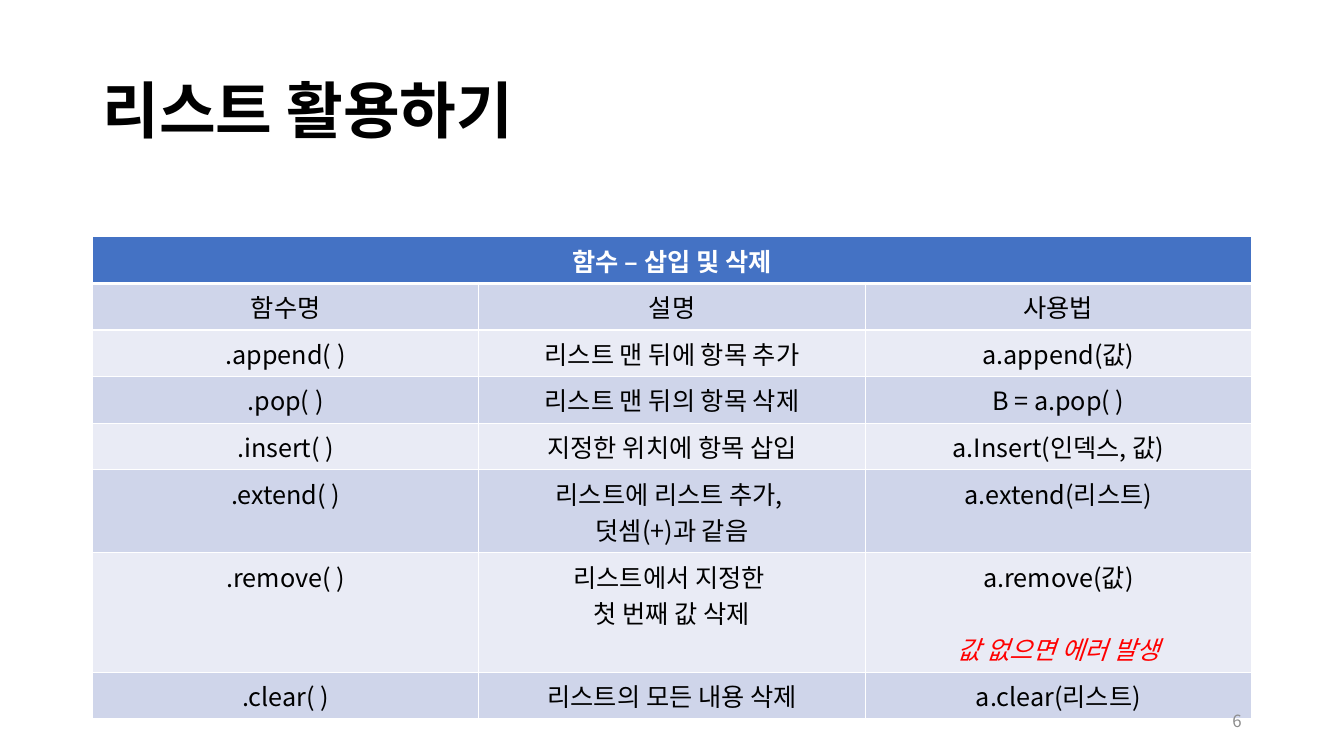
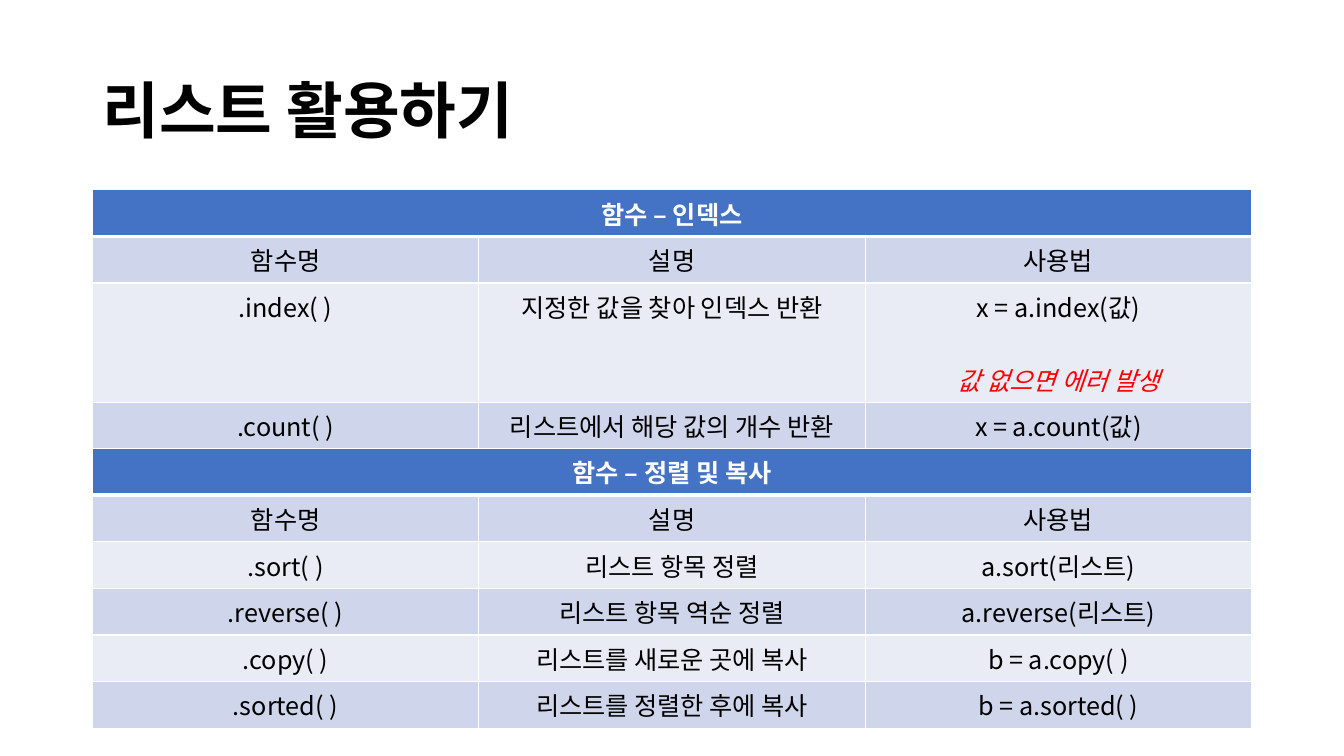
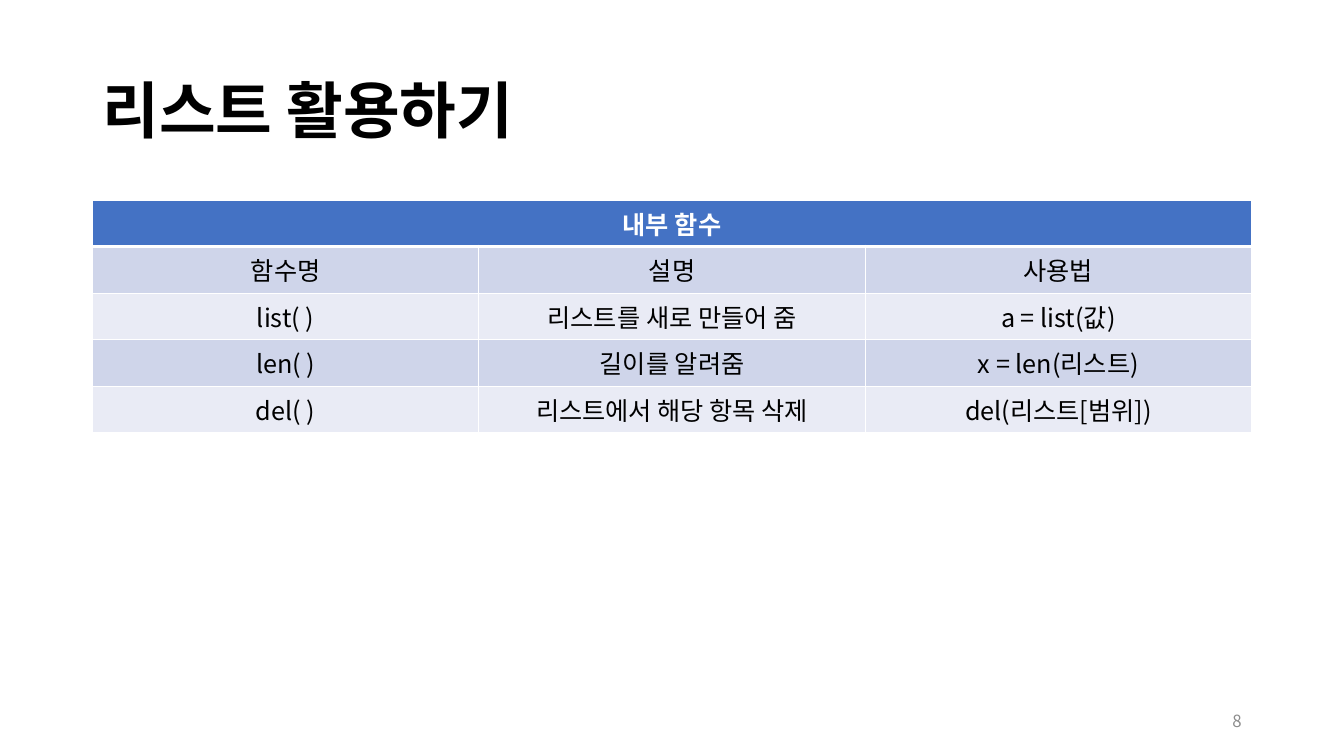
import dataclasses

import lxml.etree
import pptx
import pptx.dml.color
import pptx.enum.text
import pptx.oxml.ns
import pptx.util

ALIGN = pptx.enum.text.PP_ALIGN
MIDDLE = pptx.enum.text.MSO_ANCHOR.MIDDLE

GRID_COLUMNS, GRID_ROWS = 160, 90
MARGIN, CONTENT_WIDTH = 11, 138
TITLE = "리스트 활용하기"
COLUMN_HEADINGS = ("함수명", "설명", "사용법")
MISSING_VALUE = "값 없으면 에러 발생"


@dataclasses.dataclass(frozen=True)
class Theme:
    font: str = "Noto Sans CJK KR"
    text: str = "000000"
    header_text: str = "FFFFFF"
    header_fill: str = "4472C4"
    bands: tuple = ("CFD5EA", "E9EBF5")
    border: str = "FFFFFF"
    warning: str = "FF0000"
    page_number: str = "8C8C8C"
    title_size: int = 44
    table_size: int = 18
    page_number_size: int = 12
    thin: int = 1
    thick: int = 3
    line_height: float = 0.36
    cell_padding: float = 0.1


class Deck:
    """Holds the theme and the slide being built; lengths are grid units."""

    def __init__(self, theme):
        self.theme = theme
        self.presentation = pptx.Presentation()
        self.presentation.slide_width = pptx.util.Inches(13.33)
        self.presentation.slide_height = pptx.util.Inches(7.5)
        self.slide = None

    def box(self, left, top, width, height):
        column = self.presentation.slide_width / GRID_COLUMNS
        row = self.presentation.slide_height / GRID_ROWS
        return [round(n) for n in (left * column, top * row, width * column, height * row)]

    def add_slide(self, title):
        title_only = self.presentation.slide_layouts[5]
        self.slide = self.presentation.slides.add_slide(title_only)
        heading = self.slide.shapes.title
        heading.left, heading.top, heading.width, heading.height = self.box(
            MARGIN, 4.8, CONTENT_WIDTH, 17.4)
        frame = heading.text_frame
        frame.auto_size = pptx.enum.text.MSO_AUTO_SIZE.NONE
        frame.vertical_anchor = MIDDLE
        paragraph = frame.paragraphs[0]
        paragraph.line_spacing = 0.9
        self.add_text(paragraph, title, self.theme.title_size, self.theme.text,
                      ALIGN.LEFT, bold=True)

    def add_text(self, paragraph, text, size, color, align, bold=False, italic=False):
        paragraph.alignment = align
        run = paragraph.add_run()
        run.text = text
        font = run.font
        font.name, font.size = self.theme.font, pptx.util.Pt(size)
        font.bold, font.italic = bold, italic
        font.color.rgb = pptx.dml.color.RGBColor.from_string(color)
        east_asian = lxml.etree.SubElement(run._r.get_or_add_rPr(), pptx.oxml.ns.qn("a:ea"))
        east_asian.set("typeface", self.theme.font)

    def page_number(self, number):
        box = self.slide.shapes.add_textbox(*self.box(113, 83.4, 36, 4.8))
        frame = box.text_frame
        frame.word_wrap = True
        frame.vertical_anchor = MIDDLE
        self.add_text(frame.paragraphs[0], str(number), self.theme.page_number_size,
                      self.theme.page_number, ALIGN.RIGHT)

    def function_table(self, top, heading, functions):
        """Each function is (name, description, usage), with an optional warning."""
        theme = self.theme
        body = [COLUMN_HEADINGS, *functions]
        heights = [self.row_height(row) for row in [(heading,), *body]]
        left, top, width, _ = self.box(MARGIN, top, CONTENT_WIDTH, 0)
        table = self.slide.shapes.add_table(
            len(heights), len(COLUMN_HEADINGS), left, top, width, sum(heights)).table
        table.first_row = table.horz_banding = False
        for row, height in zip(table.rows, heights):
            row.height = height

        for cell in table.rows[0].cells:
            self.style_cell(cell, theme.header_fill, bottom=theme.thick)
        table.cell(0, 0).merge(table.cell(0, len(COLUMN_HEADINGS) - 1))
        self.add_lines(table.cell(0, 0), heading, theme.header_text, bold=True)

        for index, (name, description, usage, *warnings) in enumerate(body):
            cells = list(table.rows[index + 1].cells)
            for cell, text in zip(cells, (name, description, usage)):
                self.style_cell(cell, theme.bands[index % 2],
                                top=theme.thin if index else theme.thick)
                self.add_lines(cell, text, theme.text)
            for warning in warnings:
                paragraph = cells[-1].text_frame.add_paragraph()
                paragraph.space_before = pptx.util.Inches(theme.line_height)
                self.add_text(paragraph, warning, theme.table_size, theme.warning,
                              ALIGN.CENTER, italic=True)

    def row_height(self, row):
        """Fit the tallest cell; a warning needs its own line and a gap above it."""
        has_warning = len(row) > len(COLUMN_HEADINGS)
        lines = max(3 if has_warning else 1, *(text.count("\n") + 1 for text in row))
        return pptx.util.Inches(self.theme.cell_padding + lines * self.theme.line_height)

    def add_lines(self, cell, text, color, bold=False):
        frame = cell.text_frame
        for index, line in enumerate(text.split("\n")):
            paragraph = frame.add_paragraph() if index else frame.paragraphs[0]
            self.add_text(paragraph, line, self.theme.table_size, color, ALIGN.CENTER, bold)

    def style_cell(self, cell, fill, top=None, bottom=None):
        qn = pptx.oxml.ns.qn
        thin = self.theme.thin
        properties = cell._tc.get_or_add_tcPr()
        widths = {"lnL": thin, "lnR": thin, "lnT": top or thin, "lnB": bottom or thin}
        for side, width in widths.items():
            line = lxml.etree.SubElement(properties, qn(f"a:{side}"), w=str(pptx.util.Pt(width)))
            solid = lxml.etree.SubElement(line, qn("a:solidFill"))
            lxml.etree.SubElement(solid, qn("a:srgbClr"), val=self.theme.border)
        cell.fill.solid()
        cell.fill.fore_color.rgb = pptx.dml.color.RGBColor.from_string(fill)


INSERT_AND_DELETE = [
    (".append( )", "리스트 맨 뒤에 항목 추가", "a.append(값)"),
    (".pop( )", "리스트 맨 뒤의 항목 삭제", "B = a.pop( )"),
    (".insert( )", "지정한 위치에 항목 삽입", "a.Insert(인덱스, 값)"),
    (".extend( )", "리스트에 리스트 추가, \n덧셈(+)과 같음", "a.extend(리스트)"),
    (".remove( )", "리스트에서 지정한 \n첫 번째 값 삭제", "a.remove(값)", MISSING_VALUE),
    (".clear( )", "리스트의 모든 내용 삭제", "a.clear(리스트)"),
]
INDEXING = [
    (".index( )", "지정한 값을 찾아 인덱스 반환", "x = a.index(값)", MISSING_VALUE),
    (".count( )", "리스트에서 해당 값의 개수 반환", "x = a.count(값)"),
]
SORT_AND_COPY = [
    (".sort( )", "리스트 항목 정렬", "a.sort(리스트)"),
    (".reverse( )", "리스트 항목 역순 정렬", "a.reverse(리스트)"),
    (".copy( )", "리스트를 새로운 곳에 복사", "b = a.copy( )"),
    (".sorted( )", "리스트를 정렬한 후에 복사", "b = a.sorted( )"),
]
BUILT_IN = [
    ("list( )", "리스트를 새로 만들어 줌", "a = list(값)"),
    ("len( )", "길이를 알려줌", "x = len(리스트)"),
    ("del( )", "리스트에서 해당 항목 삭제", "del(리스트[범위])"),
]


def main():
    deck = Deck(Theme())

    deck.add_slide(TITLE)
    deck.function_table(28.2, "함수 – 삽입 및 삭제", INSERT_AND_DELETE)
    deck.page_number(6)

    deck.add_slide(TITLE)
    deck.function_table(22.6, "함수 – 인덱스", INDEXING)
    deck.function_table(53.4, "함수 – 정렬 및 복사", SORT_AND_COPY)

    deck.add_slide(TITLE)
    deck.function_table(23.8, "내부 함수", BUILT_IN)
    deck.page_number(8)

    deck.presentation.save("out.pptx")


if __name__ == "__main__":
    main()
